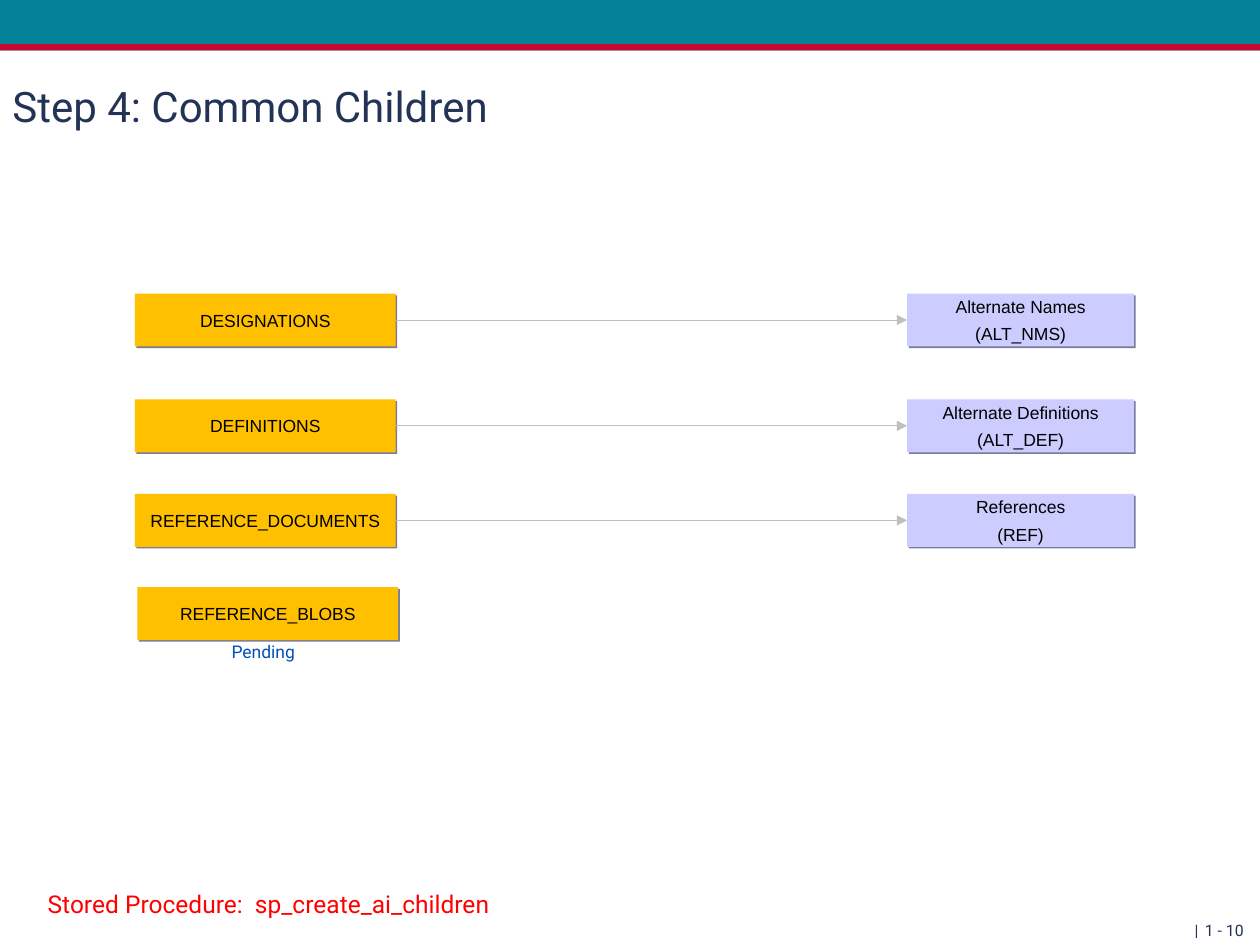
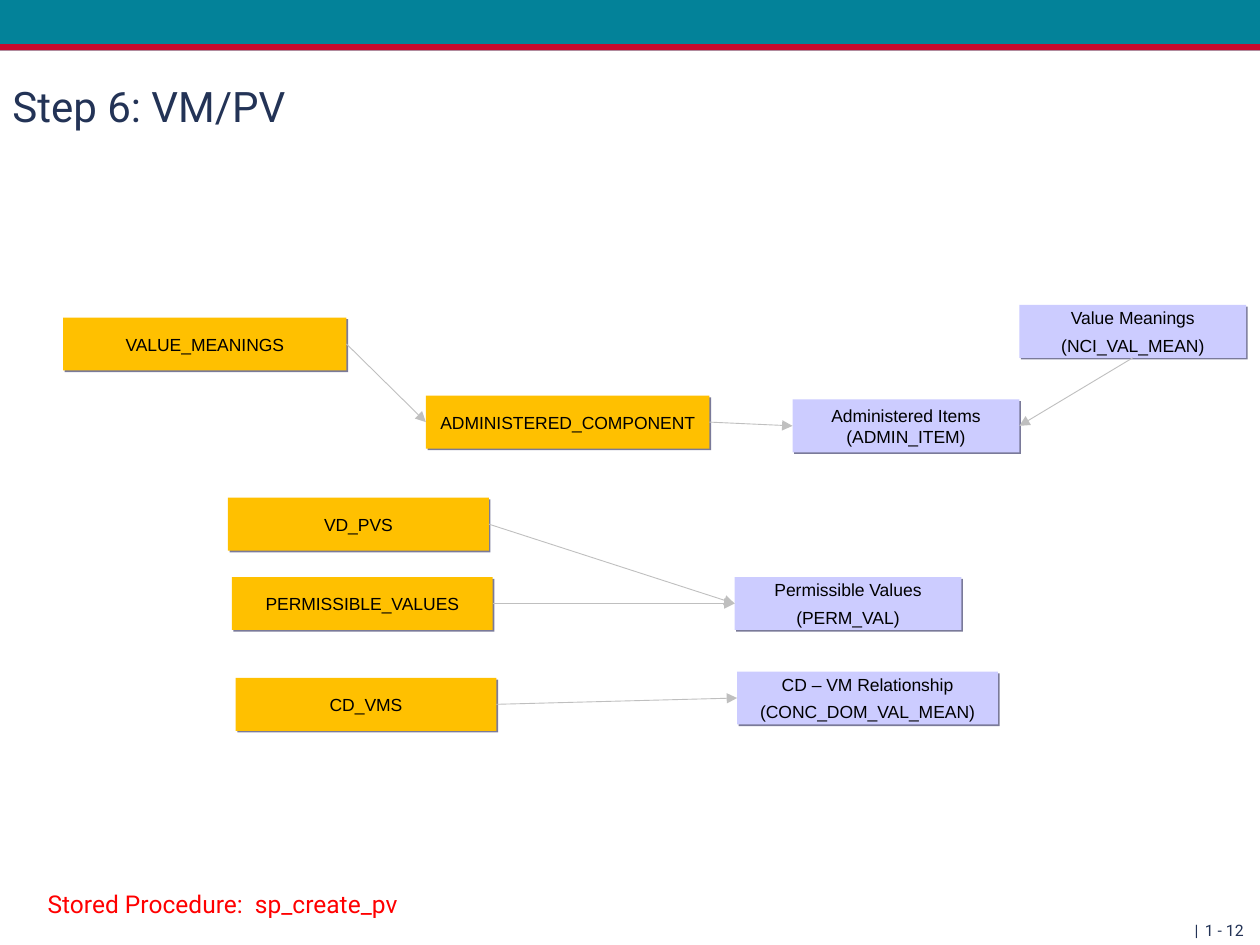
from lxml.etree import SubElement as SubEl
from pptx import Presentation
from pptx.dml.color import RGBColor
from pptx.enum.shapes import MSO_CONNECTOR as LINK, MSO_SHAPE as SHAPE
from pptx.enum.text import MSO_ANCHOR as ANCHOR, MSO_AUTO_SIZE as FIT, PP_ALIGN as ALIGN
from pptx.oxml.ns import qn
from pptx.util import Inches, Pt

TEAL = RGBColor(0x03, 0x82, 0x99)
CRIMSON = RGBColor(0xC6, 0x09, 0x2D)
NAVY = RGBColor(0x23, 0x33, 0x56)
AMBER = RGBColor(0xFF, 0xC0, 0x00)
LILAC = RGBColor(0xCC, 0xCC, 0xFF)
GREY = RGBColor(0xBF, 0xBF, 0xBF)
RED = RGBColor(0xFF, 0x00, 0x00)
BLUE = RGBColor(0x02, 0x51, 0xB8)
BLACK = RGBColor(0x00, 0x00, 0x00)
SHADE = RGBColor(0x7A, 0x7A, 0x99)

HEAD_FONT = "Roboto"
BOX_FONT = "Arial"
BOX_H = 0.42
TOP, LEFT, BOTTOM, RIGHT = range(4)


def add_run(para, text, font, size, color):
    run = para.add_run()
    run.text = text
    run.font.name = font
    run.font.size = Pt(size)
    run.font.color.rgb = color


def add_label(slide, left, top, width, height, text, size, color, align=ALIGN.LEFT):
    label = slide.shapes.add_textbox(Inches(left), Inches(top), Inches(width), Inches(height))
    frame = label.text_frame
    frame.word_wrap = True
    para = frame.paragraphs[0]
    para.alignment = align
    add_run(para, text, HEAD_FONT, size, color)
    return frame


def add_tag(slide, left, top, width, height, text, size, color):
    frame = add_label(slide, left, top, width, height, text, size, color)
    frame.word_wrap = False
    frame.auto_size = FIT.SHAPE_TO_FIT_TEXT


def add_rect(slide, left, top, width, height, color):
    rect = slide.shapes.add_shape(
        SHAPE.RECTANGLE, Inches(left), Inches(top), Inches(width), Inches(height))
    rect.shadow.inherit = False
    rect.fill.solid()
    rect.fill.fore_color.rgb = color
    rect.line.fill.background()
    return rect


def add_shade(shape):
    effects = shape.element.spPr.find(qn("a:effectLst"))
    outer = SubEl(effects, qn("a:outerShdw"), dist=str(Pt(1.4)), dir="2700000",
                  algn="ctr", rotWithShape="0")
    SubEl(outer, qn("a:srgbClr"), val=str(SHADE))


def add_box(slide, left, top, width, color, *lines):
    box = add_rect(slide, left, top, width, BOX_H, color)
    add_shade(box)
    frame = box.text_frame
    frame.word_wrap = True
    frame.vertical_anchor = ANCHOR.MIDDLE
    for row, line in enumerate(lines):
        para = frame.add_paragraph() if row else frame.paragraphs[0]
        para.alignment = ALIGN.CENTER
        if row:
            para.space_before = Pt(3.7)
        add_run(para, line, BOX_FONT, 10, BLACK)
    return box


def add_source(slide, left, top, name, width=2.07):
    return add_box(slide, left, top, width, AMBER, name)


def add_target(slide, left, top, *lines, width=1.8):
    return add_box(slide, left, top, width, LILAC, *lines)


def add_arrow(slide, start, end, exit_side=RIGHT, entry_side=LEFT):
    arrow = slide.shapes.add_connector(LINK.STRAIGHT, 0, 0, 0, 0)
    arrow.begin_connect(start, exit_side)
    arrow.end_connect(end, entry_side)
    arrow.line.color.rgb = GREY
    arrow.line.width = Pt(0.5)
    SubEl(arrow.line._get_or_add_ln(), qn("a:tailEnd"), type="triangle")
    SubEl(arrow._element.spPr, qn("a:effectLst"))


def add_page(deck, title, number, proc, proc_width):
    slide = deck.slides.add_slide(deck.slide_layouts[6])
    add_rect(slide, 0, 0, 10, 0.4, TEAL)
    add_rect(slide, 0, 0.35, 10, 0.05, CRIMSON)
    page = add_label(slide, 3.52, 7.23, 6.48, 0.27, f"1 - {number}", 9, NAVY, ALIGN.RIGHT)
    page.margin_right = Inches(0.13)
    mark = add_label(slide, 7.65, 7.23, 1.96, 0.27, "|", 9, NAVY, ALIGN.RIGHT)
    for frame in (page, mark):
        frame.paragraphs[0].line_spacing = 1.2
    head = add_label(slide, 0, 0.49, 9, 0.69, title, 24, NAVY)
    head.vertical_anchor = ANCHOR.MIDDLE
    add_tag(slide, 0.28, 7.01, proc_width, 0.34, f"Stored Procedure:  {proc}", 14, RED)
    return slide


def add_children(deck):
    slide = add_page(deck, "Step 4: Common Children", 10, "sp_create_ai_children", 3.91)
    pairs = [
        (2.33, "DESIGNATIONS", "Alternate Names", "(ALT_NMS)"),
        (3.17, "DEFINITIONS", "Alternate Definitions", "(ALT_DEF)"),
        (3.92, "REFERENCE_DOCUMENTS", "References", "(REF)"),
    ]
    for top, name, *lines in pairs:
        source = add_source(slide, 1.07, top, name)
        target = add_target(slide, 7.2, top, *lines)
        add_arrow(slide, source, target)
    add_source(slide, 1.09, 4.66, "REFERENCE_BLOBS")
    add_tag(slide, 1.74, 5.04, 0.74, 0.27, "Pending", 10, BLUE)


def add_values(deck):
    slide = add_page(deck, "Step 6: VM/PV", 12, "sp_create_pv", 3.14)
    meaning = add_source(slide, 0.5, 2.52, "VALUE_MEANINGS", width=2.25)
    admin = add_source(slide, 3.38, 3.14, "ADMINISTERED_COMPONENT", width=2.25)
    vd_pvs = add_source(slide, 1.81, 3.95, "VD_PVS")
    permit = add_source(slide, 1.84, 4.58, "PERMISSIBLE_VALUES")
    cd_vms = add_source(slide, 1.87, 5.38, "CD_VMS")

    val_mean = add_target(slide, 8.09, 2.42, "Value Meanings", "(NCI_VAL_MEAN)")
    item = add_target(slide, 6.29, 3.17, "Administered Items (ADMIN_ITEM)")
    perm_val = add_target(slide, 5.83, 4.58, "Permissible Values", "(PERM_VAL)")
    domain = add_target(slide, 5.85, 5.33, "CD – VM Relationship", "(CONC_DOM_VAL_MEAN)",
                        width=2.07)

    links = [(meaning, admin), (admin, item), (vd_pvs, perm_val),
             (permit, perm_val), (cd_vms, domain)]
    for start, end in links:
        add_arrow(slide, start, end)
    add_arrow(slide, val_mean, item, BOTTOM, RIGHT)


def main():
    deck = Presentation()
    deck.slide_width = Inches(10)
    deck.slide_height = Inches(7.5)
    add_children(deck)
    add_values(deck)
    deck.save("out.pptx")


if __name__ == "__main__":
    main()
